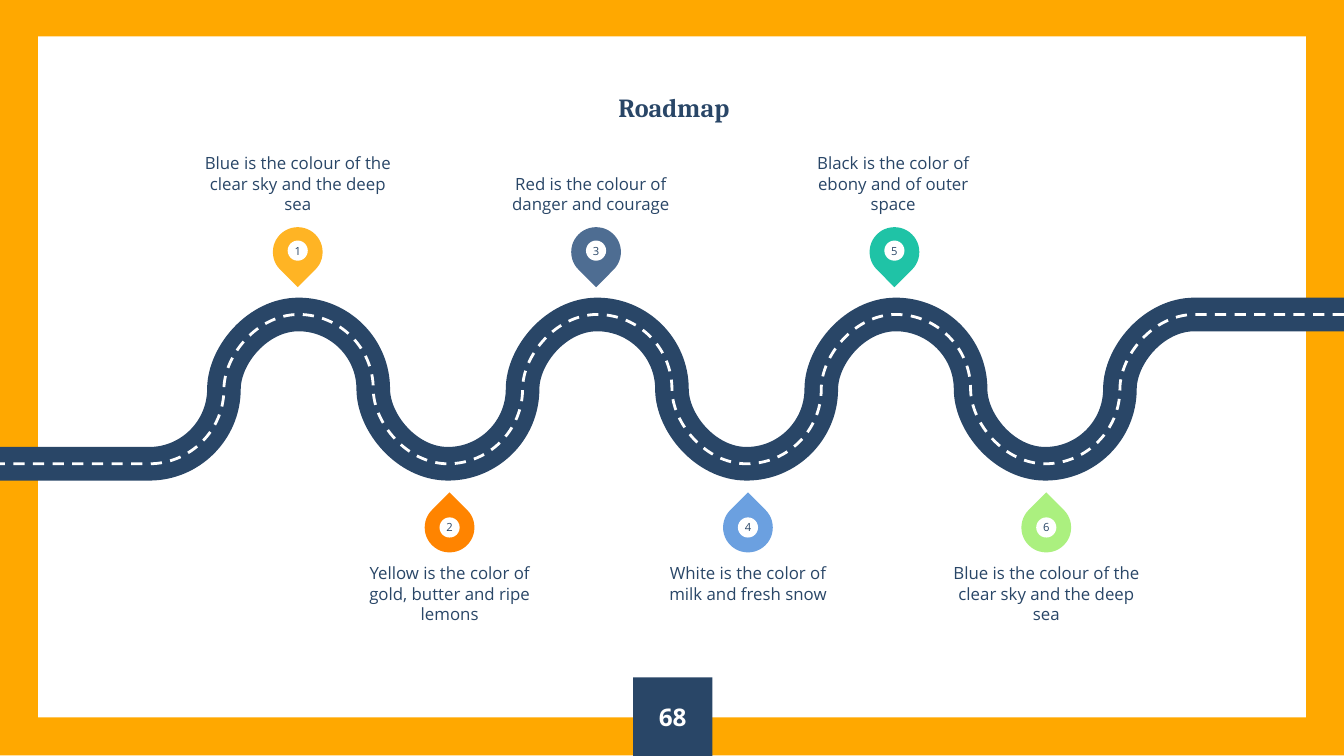
from pptx import Presentation, util as u
from pptx.dml.color import RGBColor
from pptx.enum import dml, shapes, text
from pptx.oxml.ns import qn

NAVY, WHITE, AMBER = "294667", "FFFFFF", "FFA800"
TITLE = "Roadmap"
PAGE_NUMBER = "68"

# Stops on the road: number, pin colour, caption left edge, caption
UPPER_STOPS = [
    ("1", "FFB424", 1.51, "Blue is the colour of the clear sky and the deep sea"),
    ("3", "4E6D92", 3.69, "Red is the colour of danger and courage"),
    ("5", "1FC3A6", 5.94, "Black is the color of ebony and of outer space"),
]
LOWER_STOPS = [
    ("2", "FF8400", 2.64, "Yellow is the color of gold, butter and ripe lemons"),
    ("4", "6BA0E0", 4.86, "White is the color of milk and fresh snow"),
    ("6", "ABF07F", 7.08, "Blue is the colour of the clear sky and the deep sea"),
]
# Rows: stops, first pin left, pin top, pin rotation, number drop, caption top, anchor
ROWS = [
    (UPPER_STOPS, 2.03, 1.69, 135, 0.10, 1.01, text.MSO_ANCHOR.BOTTOM),
    (LOWER_STOPS, 3.16, 3.74, 315, 0.11, 4.19, text.MSO_ANCHOR.TOP),
]
PIN, DOT, PIN_STEP = 0.37, 0.15, 2.22

# Road geometry: quarter turns between a high and a low level
SLIDE_WIDTH, SLIDE_HEIGHT = 10, 5.625
QUARTERS = 14
RADIUS = SLIDE_WIDTH / (QUARTERS + 4)
ROAD_TOP = 2.34
ARC_PULL = 0.55  # control point distance of a quarter turn, in radii

deck = Presentation()
deck.slide_width, deck.slide_height = u.Inches(SLIDE_WIDTH), u.Inches(SLIDE_HEIGHT)
page = deck.slides.add_slide(deck.slide_layouts[6])


def colour(value):
    return RGBColor.from_string(value)


def add_shape(parent, kind, left, top, width, height, fill):
    shape = parent.shapes.add_shape(kind, *map(u.Inches, (left, top, width, height)))
    shape.shadow.inherit = False
    shape.fill.solid()
    shape.fill.fore_color.rgb = colour(fill)
    shape.line.fill.background()
    return shape


def add_box(left, top, width, height):
    return page.shapes.add_textbox(*map(u.Inches, (left, top, width, height)))


def write(shape, words, size, font="Open Sans", ink=NAVY, bold=False,
          anchor=text.MSO_ANCHOR.MIDDLE, inset=0):
    frame = shape.text_frame
    frame.word_wrap = True
    frame.vertical_anchor = anchor
    frame.margin_left = frame.margin_right = u.Inches(inset)
    frame.margin_top = frame.margin_bottom = u.Inches(inset)
    frame.text = words
    para = frame.paragraphs[0]
    para.alignment = text.PP_ALIGN.CENTER
    span = para.runs[0].font
    span.name, span.size, span.bold = font, u.Pt(size), bold
    span.color.rgb = colour(ink)


def road_points():
    """From right to left: a straight run, three points per quarter turn, a straight run."""
    middle = ROAD_TOP + RADIUS
    x, y = SLIDE_WIDTH - 2 * RADIUS, ROAD_TOP
    points = [(SLIDE_WIDTH, y), (x, y)]
    for quarter in range(QUARTERS):
        leaving_level = quarter % 2 == 0
        if leaving_level:  # level, then upright at the middle height
            next_x, next_y = x - RADIUS, middle
            points += [(x - ARC_PULL * RADIUS, y),
                       (next_x, next_y + (y - next_y) * (1 - ARC_PULL))]
        else:  # upright, then level on the other side
            next_x = x - RADIUS
            next_y = middle + RADIUS * (1 if quarter % 4 == 1 else -1)
            points += [(x, y + (next_y - y) * ARC_PULL),
                       (next_x + ARC_PULL * RADIUS, next_y)]
        x, y = next_x, next_y
        points.append((x, y))
    points.append((0, y))
    return [(u.Inches(px), u.Inches(py)) for px, py in points]


def add_road(line_colour, width, dash=None):
    start, *rest = road_points()
    builder = page.shapes.build_freeform(*start)
    builder.add_line_segments(rest, close=False)
    road = builder.convert_to_shape()
    # Turn each three points between the straight runs into one curve
    segments = list(road._element.iter(qn("a:lnTo")))[1:-1]
    for first in range(0, len(segments), 3):
        curve, *others = segments[first:first + 3]
        bend = curve.makeelement(qn("a:cubicBezTo"), {})
        curve.addprevious(bend)
        for segment in (curve, *others):
            bend.append(segment[0])
            segment.getparent().remove(segment)
    road.shadow.inherit = False
    road.fill.background()
    road.line.color.rgb = colour(line_colour)
    road.line.width = u.Pt(width)
    if dash:
        road.line.dash_style = dash


# Frame, title and page number
border = add_shape(page, shapes.MSO_SHAPE.FRAME, 0, -0.01, SLIDE_WIDTH, 5.63, AMBER)
border.adjustments[0] = 0.05
badge_area = (4.71, 5.04, 0.59, 0.59)
add_shape(page, shapes.MSO_SHAPE.RECTANGLE, *badge_area, NAVY)
write(add_box(0.3, 0.27, 9.43, 0.74), TITLE, 14, font="Cambria", bold=True,
      anchor=text.MSO_ANCHOR.BOTTOM, inset=0.1)
write(add_box(*badge_area), PAGE_NUMBER, 13, ink=WHITE, bold=True, inset=0.1)

# Road and its centre line
add_road(NAVY, 18)
add_road(WHITE, 1.5, dml.MSO_LINE.DASH)

# Numbered pins, each grouped with its dot, and captions
for stops, first_left, pin_top, rotation, drop, caption_top, anchor in ROWS:
    for index, (number, fill, caption_left, caption) in enumerate(stops):
        left = first_left + index * PIN_STEP
        marker = page.shapes.add_group_shape()
        pin = add_shape(marker, shapes.MSO_SHAPE.TEAR, left, pin_top, PIN, PIN, fill)
        pin.rotation = rotation
        dot = add_shape(marker, shapes.MSO_SHAPE.OVAL, left + (PIN - DOT) / 2,
                        pin_top + drop, DOT, DOT, WHITE)
        write(dot, number, 6)
        write(add_box(caption_left, caption_top, 1.41, 0.58), caption, 9, anchor=anchor)

deck.save("out.pptx")
